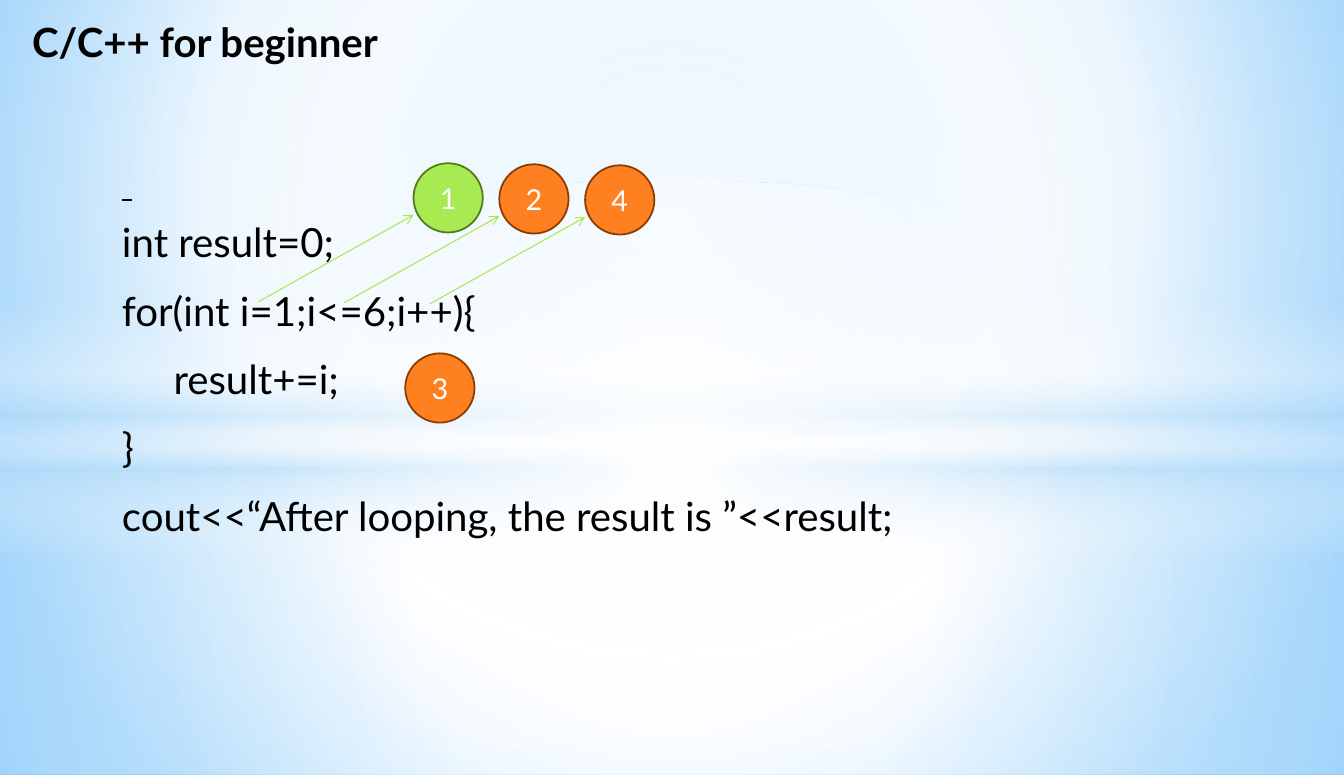
from lxml import etree
from pptx import Presentation
from pptx import util as u
from pptx.dml.color import RGBColor
from pptx.enum import shapes, text
from pptx.oxml import ns, parse_xml

# Content
TITLE = "C/C++ for beginner"
CODE = [
    " ",
    "int result=0;",
    "for(int i=1;i<=6;i++){",
    "\tresult+=i;",
    "}",
    "cout<<“After looping, the result is ”<<result;",
]
LOOP_STEPS = [("1", "green"), ("2", "orange"), ("4", "orange")]
BODY_STEP = ("3", "orange")

# Style
FONT = "Lato"
COLORS = {
    "text": "000000", "number": "FFFFFF",
    "green": "A7EA52", "green_edge": "537C1F",
    "orange": "FF8021", "orange_edge": "8B3D02",
    "white": "FFFFFF", "pale": "B4DCFA", "sky": "9ED5FF", "blue": "5BB9FF",
}
CENTER = (50, 50, 50, 50)

# Gradient stops: position, colour, opacity (percent); focus None means top to bottom
BACKGROUND = ([(0, "sky", 100), (60, "white", 100), (100, "blue", 100)], (20, 10, 20, 60))
BANDS = [
    (shapes.MSO_SHAPE.RECTANGLE, (0, 423, 1300, 327),
     [(0, "white", 91), (37, "white", 76), (100, "pale", 79)], CENTER),
    (shapes.MSO_SHAPE.RECTANGLE, (0, 0, 1300, 423),
     [(0, "white", 89), (48, "white", 62), (100, "pale", 79)], CENTER),
    (shapes.MSO_SHAPE.RECTANGLE, (0, 290, 1300, 250),
     [(0, "white", 0), (29, "white", 30), (45, "pale", 40),
      (55, "white", 26), (65, "pale", 60), (100, "white", 0)], None),
    (shapes.MSO_SHAPE.OVAL, (0, 175, 1300, 558),
     [(0, "white", 100), (54, "white", 0)], CENTER),
]

# Layout in px, 100 to the inch
PX = 9144
SLIDE_SIZE = (1300, 750)
TITLE_BOX = (21, 12, 412, 57)
CODE_BOX = (108, 116, 1075, 434)
DIAMETER = 67
FIRST_STEP, STEP_SHIFT = (400, 158), (83, 1)
BODY_STEP_AT = (392, 342)
ARROW_START, ARROW_END = (-150, 134), (0, 50)  # from the circle's corner


def px(*lengths):
    return [u.Emu(length * PX) for length in lengths]


def rgb(name):
    return RGBColor.from_string(COLORS[name])


def set_gradient(fill, owner, stops, focus):
    fill.gradient()
    old = next(owner.iter(ns.qn("a:gradFill")))
    stop_xml = "".join(
        f'<a:gs pos="{position * 1000}"><a:srgbClr val="{COLORS[color]}">'
        f'<a:alpha val="{opacity * 1000}"/></a:srgbClr></a:gs>'
        for position, color, opacity in stops)
    if focus is None:
        direction = '<a:lin ang="5400000" scaled="0"/>'
    else:
        sides = " ".join(f'{side}="{value * 1000}"' for side, value in zip("ltrb", focus))
        direction = f'<a:path path="circle"><a:fillToRect {sides}/></a:path>'
    new = parse_xml(f'<a:gradFill {ns.nsdecls("a")} rotWithShape="1">'
                    f'<a:gsLst>{stop_xml}</a:gsLst>{direction}</a:gradFill>')
    old.getparent().replace(old, new)


def style_font(paragraph, size, color, bold=False):
    font = paragraph.font
    font.name, font.size, font.bold = FONT, u.Pt(size), bold
    font.color.rgb = rgb(color)


def place(shape, box):
    shape.left, shape.top, shape.width, shape.height = px(*box)
    frame = shape.text_frame
    frame.word_wrap = True
    frame.auto_size = text.MSO_AUTO_SIZE.SHAPE_TO_FIT_TEXT
    frame.vertical_anchor = text.MSO_ANCHOR.TOP
    return frame


def add_circle(slide, label, color, left, top):
    circle = slide.shapes.add_shape(shapes.MSO_SHAPE.OVAL, *px(left, top, DIAMETER, DIAMETER))
    circle.shadow.inherit = False
    circle.fill.solid()
    circle.fill.fore_color.rgb = rgb(color)
    circle.line.color.rgb = rgb(color + "_edge")
    circle.line.width = u.Pt(1.25)
    frame = circle.text_frame
    frame.vertical_anchor = text.MSO_ANCHOR.MIDDLE
    paragraph = frame.paragraphs[0]
    paragraph.text = label
    paragraph.alignment = text.PP_ALIGN.CENTER
    style_font(paragraph, 20, "number")


def add_arrow(slide, start, end):
    arrow = slide.shapes.add_connector(shapes.MSO_CONNECTOR.STRAIGHT, *px(*start, *end))
    arrow.line.color.rgb = rgb("green")
    arrow.line.width = u.Pt(0.75)
    etree.SubElement(arrow.line._get_or_add_ln(), ns.qn("a:tailEnd"), type="arrow")
    etree.SubElement(arrow._element.spPr, ns.qn("a:effectLst"))


def main():
    presentation = Presentation()
    presentation.slide_width, presentation.slide_height = px(*SLIDE_SIZE)
    slide = presentation.slides.add_slide(presentation.slide_layouts[1])
    title, body = slide.shapes.title, slide.placeholders[1]

    # Background glow, behind the text
    set_gradient(slide.background.fill, slide.element, *BACKGROUND)
    for kind, box, stops, focus in BANDS:
        band = slide.shapes.add_shape(kind, *px(*box))
        band.shadow.inherit = False
        band.line.fill.background()
        set_gradient(band.fill, band._element, stops, focus)
        title._element.addprevious(band._element)

    # Title
    paragraph = place(title, TITLE_BOX).paragraphs[0]
    paragraph.text = TITLE
    paragraph.alignment = text.PP_ALIGN.LEFT
    style_font(paragraph, 28, "text", bold=True)

    # Code
    frame = place(body, CODE_BOX)
    for index, line in enumerate(CODE):
        paragraph = frame.add_paragraph() if index else frame.paragraphs[0]
        paragraph.add_run().text = line
        properties = paragraph._p.get_or_add_pPr()
        properties.set("marL", "0")
        properties.set("indent", "0")
        etree.SubElement(properties, ns.qn("a:buNone"))
        paragraph.space_before = u.Pt(14 if index else 0)
        style_font(paragraph, 28, "text")
    frame.paragraphs[0].line_spacing = 1.5
    frame.paragraphs[0].font.underline = True

    # Numbered steps, with arrows from the parts of the loop header
    for index, (label, color) in enumerate(LOOP_STEPS):
        left, top = (first + index * shift for first, shift in zip(FIRST_STEP, STEP_SHIFT))
        add_circle(slide, label, color, left, top)
        start, end = ((left + dx, top + dy) for dx, dy in (ARROW_START, ARROW_END))
        add_arrow(slide, start, end)
    add_circle(slide, *BODY_STEP, *BODY_STEP_AT)

    presentation.save("out.pptx")


if __name__ == "__main__":
    main()
